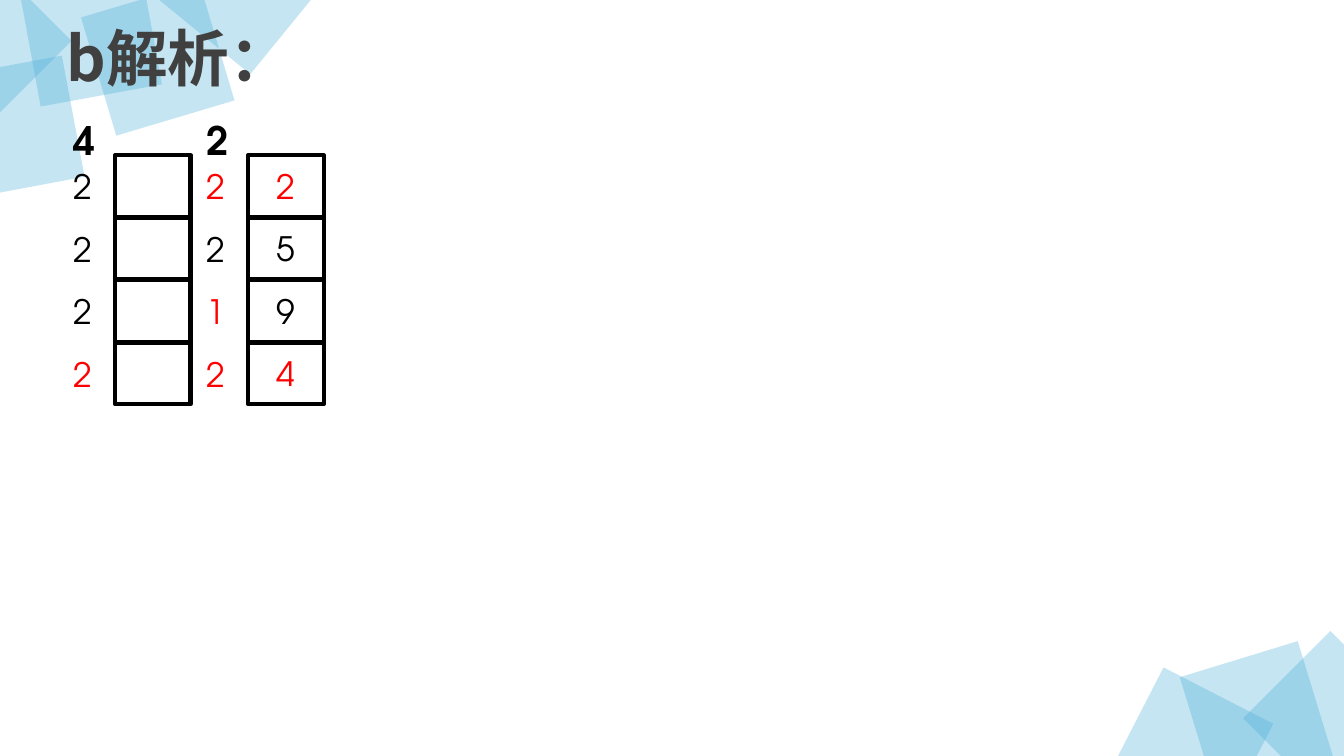
from lxml.etree import SubElement
from pptx import Presentation
from pptx.dml.color import RGBColor
from pptx.enum.shapes import MSO_SHAPE as SHAPE
from pptx.enum.text import MSO_ANCHOR as ANCHOR, MSO_AUTO_SIZE as AUTO, PP_ALIGN as ALIGN
from pptx.oxml.ns import qn
from pptx.util import Inches, Pt

BLACK = RGBColor(0, 0, 0)
RED = RGBColor(0xFF, 0, 0)
WHITE = RGBColor(0xFF, 0xFF, 0xFF)
GREY = RGBColor(0x40, 0x40, 0x40)
BLUE = RGBColor(0x41, 0xAA, 0xD7)
TITLE_FONT, DIGIT_FONT = "Noto Sans CJK SC", "TeX Gyre Adventor"

TITLE = "b解析："
DIAMONDS = [
    (-0.74, 0.4, 34.4), (0.7, -0.28, 28.4), (0.03, -0.52, 304.6), (1.53, -0.99, 354.2),
    (10.94, 6.58, 342.2), (-1.02, -0.46, 270), (11.6, 6.26, 28), (12.33, 6.26, 270),
]
STACKS = [
    ("4", [("2", BLACK), ("2", BLACK), ("2", BLACK), ("2", RED)], []),
    ("2", [("2", RED), ("2", BLACK), ("1", RED), ("2", RED)],
     [("2", RED), ("5", BLACK), ("9", BLACK), ("4", RED)]),
]
DIAMOND = 1.73
LEFT, STACK_STEP = 0.63, 1.32
HEAD_TOP, LABEL_TOP, CELL_TOP, ROW_STEP = 1.1, 1.6, 1.54, 0.62
LABEL_W, CELL_DX, CELL_W, CELL_H = 0.38, 0.51, 0.75, 0.61


def add_run(p, text, size, font, color, bold=False):
    """Add a styled run to a paragraph."""
    r = p.add_run()
    r.text = text
    r.font.size, r.font.name, r.font.bold = Pt(size), font, bold
    r.font.color.rgb = color
    SubElement(r.font._element, qn("a:ea"), typeface=font)


def add_label(shapes, x, y, h, text, size, color, bold=False):
    """Add a small text box holding one number."""
    tf = shapes.add_textbox(Inches(x), Inches(y), Inches(LABEL_W), Inches(h)).text_frame
    tf.word_wrap = True
    tf.auto_size = AUTO.SHAPE_TO_FIT_TEXT
    add_run(tf.paragraphs[0], text, size, DIGIT_FONT, color, bold)


def add_cell(shapes, x, y):
    """Add an outlined white cell and return it."""
    sp = shapes.add_shape(SHAPE.FLOWCHART_PROCESS, Inches(x), Inches(y),
                          Inches(CELL_W), Inches(CELL_H))
    sp.shadow.inherit = False
    sp.fill.solid()
    sp.fill.fore_color.rgb = WHITE
    sp.line.color.rgb = BLACK
    sp.line.width = Pt(3)
    return sp


def add_diamond(shapes, x, y, angle):
    """Add a translucent rotated diamond."""
    sp = shapes.add_shape(SHAPE.DIAMOND, Inches(x), Inches(y), Inches(DIAMOND), Inches(DIAMOND))
    sp.rotation = angle
    sp.shadow.inherit = False
    sp.line.fill.background()
    sp.fill.solid()
    sp.fill.fore_color.rgb = BLUE
    color = sp._element.spPr.find(qn("a:solidFill")).find(qn("a:srgbClr"))
    SubElement(color, qn("a:alpha"), val="30000")


def add_title(shapes):
    """Add the slide heading."""
    tf = shapes.add_textbox(Inches(0.56), Inches(0.29), Inches(2.28), Inches(0.65)).text_frame
    tf.word_wrap = True
    tf.vertical_anchor = ANCHOR.MIDDLE
    p = tf.paragraphs[0]
    p.line_spacing, p.space_before = 0.9, Pt(10)
    add_run(p, TITLE, 44, TITLE_FONT, GREY, True)


def add_stack(shapes, x, labels, values):
    """Add a grouped column of cells with a number beside each."""
    group = shapes.add_group_shape().shapes
    for row in range(len(labels)):
        sp = add_cell(group, x + CELL_DX, CELL_TOP + row * ROW_STEP)
        if values:
            tf = sp.text_frame
            tf.vertical_anchor = ANCHOR.MIDDLE
            p = tf.paragraphs[0]
            p.alignment = ALIGN.CENTER
            text, color = values[row]
            add_run(p, text, 24, DIGIT_FONT, color)
    for row, (text, color) in enumerate(labels):
        add_label(group, x, LABEL_TOP + row * ROW_STEP, 0.5, text, 24, color)


def main():
    """Build and save the slide."""
    prs = Presentation()
    prs.slide_width, prs.slide_height = Inches(13.33), Inches(7.5)
    s = prs.slides.add_slide(prs.slide_layouts[6])
    for diamond in DIAMONDS:
        add_diamond(s.shapes, *diamond)
    add_title(s.shapes)
    for i, (head, labels, values) in enumerate(STACKS):
        x = LEFT + i * STACK_STEP
        add_stack(s.shapes, x, labels, values)
        add_label(s.shapes, x, HEAD_TOP, 0.57, head, 28, BLACK, True)
    prs.save("out.pptx")


if __name__ == "__main__":
    main()
